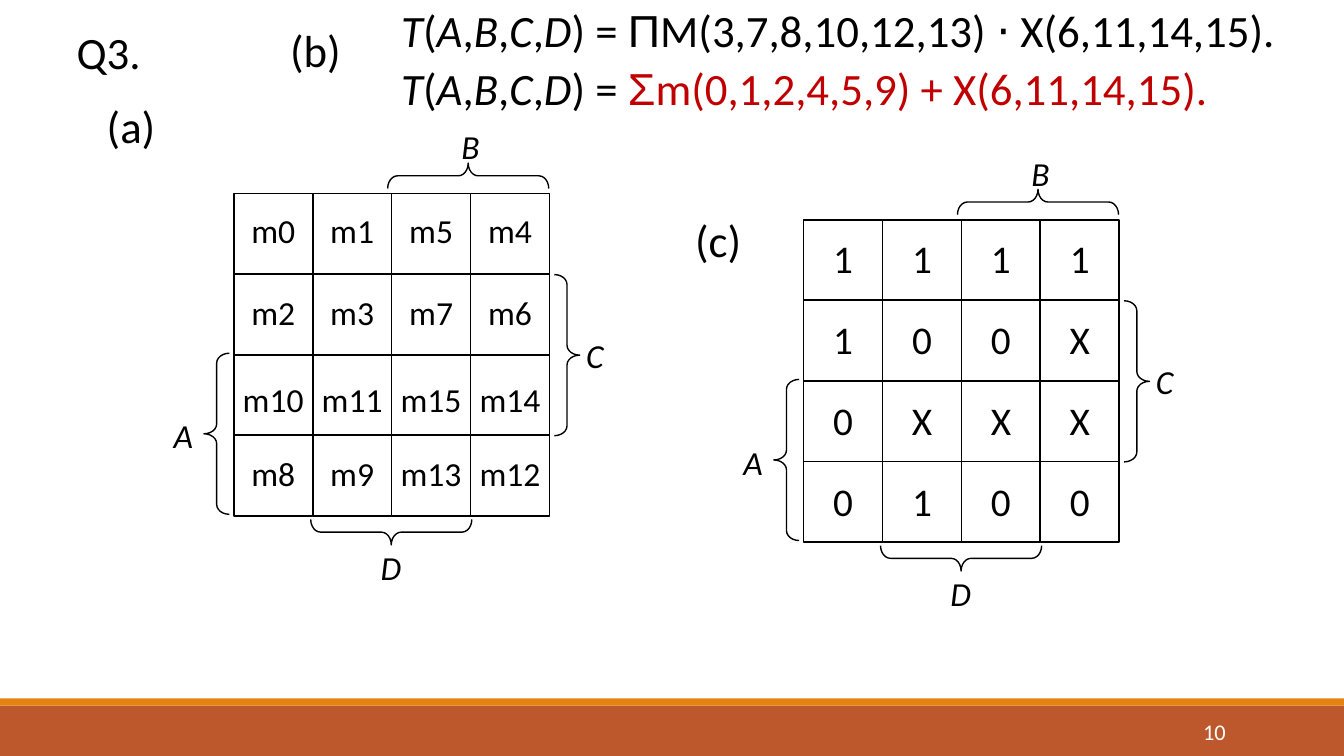
from pptx import Presentation
from pptx.dml.color import RGBColor
from pptx.enum.shapes import MSO_SHAPE
from pptx.enum.text import MSO_ANCHOR, PP_ALIGN
from pptx.util import Cm, Pt

COLORS = {"ink": "000000", "answer": "C00000", "rust": "BD582C",
          "orange": "E48312", "white": "FFFFFF"}


def add_text(x, y, w, h, runs, size, align=PP_ALIGN.LEFT, color="ink", spacing=1.0):
    tf = slide.shapes.add_textbox(Cm(x), Cm(y), Cm(w), Cm(h)).text_frame
    tf.word_wrap = True
    p = tf.paragraphs[0]
    p.alignment = align
    p.line_spacing = spacing
    p.font.size = Pt(size)
    for text, font, italic, run_color in runs:
        r = p.add_run()
        r.text = text
        r.font.name = font
        r.font.italic = italic
        r.font.color.rgb = RGBColor.from_string(COLORS[run_color or color])
    return tf


def add_shape(kind, x, y, w, h, fill=None, line=None):
    sp = slide.shapes.add_shape(kind, Cm(x), Cm(y), Cm(w), Cm(h))
    sp.shadow.inherit = False
    if fill:
        sp.fill.solid()
        sp.fill.fore_color.rgb = RGBColor.from_string(COLORS[fill])
    else:
        sp.fill.background()
    if line:
        sp.line.color.rgb = RGBColor.from_string(COLORS["ink"])
        sp.line.width = Pt(line)
    else:
        sp.line.fill.background()
    return sp


prs = Presentation()
prs.slide_width, prs.slide_height = Cm(33.87), Cm(19.05)
slide = prs.slides.add_slide(prs.slide_layouts[6])

add_shape(MSO_SHAPE.RECTANGLE, 0, 17.78, 33.87, 1.27, fill="rust")
add_shape(MSO_SHAPE.RECTANGLE, 0, 17.6, 33.87, 0.18, fill="orange")

headings = [("Q3.", 1.68, 0.64, 2.46), ("(a)", 2.44, 2.51, 2.18),
            ("(b)", 7.06, 0.61, 2.18), ("(c)", 17.27, 5.38, 2.18)]
for text, x, y, w in headings:
    add_text(x, y, w, 1.83, [(text, "Calibri", False, None)], 32, spacing=0.9)

formulas = [(0.1, 23.42, "Π", "M(3,7,8,10,12,13) ⋅ X(6,11,14,15).", "ink"),
            (1.57, 21.77, "Σ", "m(0,1,2,4,5,9) + X(6,11,14,15).", "answer")]
for y, w, symbol, terms, color in formulas:
    runs = [(c, "Calibri", c.isalpha(), None) for c in "T(A,B,C,D"]
    runs += [(") = ", "Calibri", False, None),
             (symbol, "Arial", False, color), (terms, "Calibri", False, color)]
    add_text(9.86, y, w, 1.83, runs, 32, spacing=0.9)

CELL_W, CELL_H = 1.99, 2.03
minterms = [["m0", "m1", "m5", "m4"], ["m2", "m3", "m7", "m6"],
            ["m10", "m11", "m15", "m14"], ["m8", "m9", "m13", "m12"]]
values = ["1111", "100X", "0XXX", "0100"]
maps = [(5.89, 4.88, minterms, 24, 2.59, 1.27, [0.28, 2.34, 4.55, 6.4]),
        (20.25, 5.54, values, 28, 2.01, 1.44, [0.25, 2.29, 4.32, 6.37])]
variables = [("A", -1.93, 5.46, -0.75, 4.02, 180), ("B", 5.31, -1.82, 5.59, -2.48, 270),
             ("C", 8.44, 3.43, 8.08, 2.04, 0), ("D", 3.3, 8.77, 3.65, 6.5, 90)]

for left, top, rows, size, text_w, text_h, text_tops in maps:
    for i in range(4):
        for j in range(4):
            add_shape(MSO_SHAPE.RECTANGLE, left + j * CELL_W, top + i * CELL_H,
                      CELL_W, CELL_H, line=1.25)
    for row, text_top in zip(rows, text_tops):
        for j, text in enumerate(row):
            add_text(left + (j + 0.5) * CELL_W - text_w / 2, top + text_top, text_w, text_h,
                     [(text, "Calibri", False, None)], size, PP_ALIGN.CENTER)
    for name, x, y, brace_x, brace_y, rotation in variables:
        add_text(left + x, top + y, 1.32, 1.27, [(name, "Calibri", True, None)],
                 24, PP_ALIGN.CENTER)
        brace = add_shape(MSO_SHAPE.RIGHT_BRACE, left + brace_x, top + brace_y,
                          0.64, 4.06, line=1)
        brace.adjustments[0] = 0.39
        brace.rotation = rotation

tf = add_text(27.51, 17.93, 3.63, 1.02, [("10", "Calibri", False, None)], 16,
              PP_ALIGN.RIGHT, "white")
tf.vertical_anchor = MSO_ANCHOR.MIDDLE

prs.save("out.pptx")
